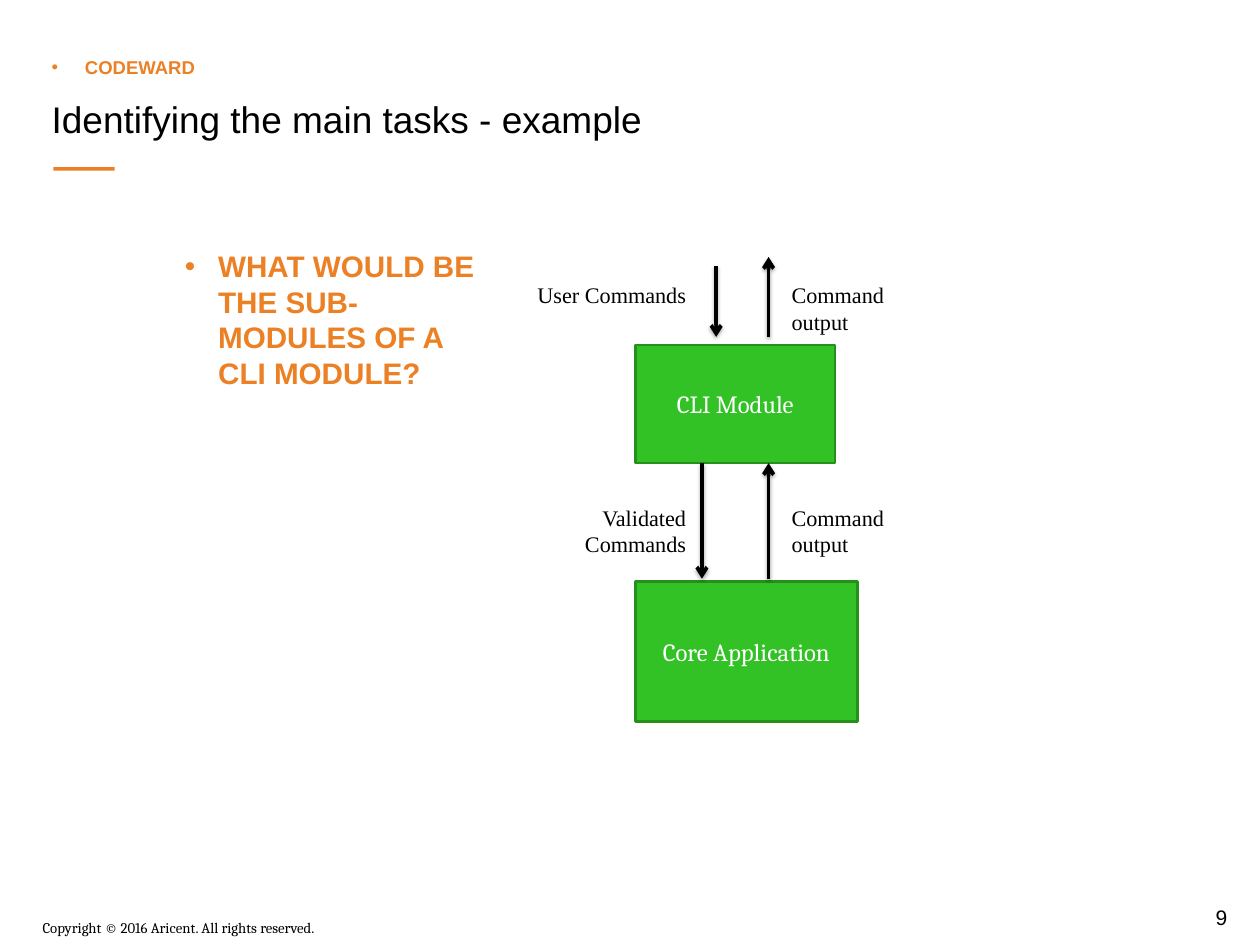
from dataclasses import dataclass

import lxml.etree
import pptx
import pptx.dml.color
import pptx.enum.shapes
import pptx.enum.text
import pptx.oxml
import pptx.oxml.ns
import pptx.util

WIDTH, HEIGHT = 14.18, 10.63
COLOURS = {
    "orange": "EB8024",
    "black": "000000",
    "white": "FFFFFF",
    "green": "32C225",
    "dark green": "25901B",
}
ALIGN = pptx.enum.text.PP_ALIGN
ANCHOR = pptx.enum.text.MSO_ANCHOR
RECTANGLE = pptx.enum.shapes.MSO_SHAPE.RECTANGLE


@dataclass(frozen=True)
class Area:
    """A rectangle in percent of the slide's width and height."""
    left: float
    top: float
    width: float
    height: float


@dataclass(frozen=True)
class Style:
    font: str
    size: float
    colour: str = "black"
    bold: bool = False
    align: ALIGN = ALIGN.LEFT
    anchor: ANCHOR = ANCHOR.TOP


@dataclass(frozen=True)
class Words:
    text: str
    area: Area
    style: Style


@dataclass(frozen=True)
class Arrow:
    column: float
    start: float
    end: float


HEADING = Style("Arial", 30)
KICKER = Style("Arial", 15, "orange", True, anchor=ANCHOR.BOTTOM)
QUESTION = Style("Arial", 24, "orange", True)
MODULE = Style("Cambria", 20, "white", align=ALIGN.CENTER, anchor=ANCHOR.MIDDLE)
INPUT = Style("Times New Roman", 18, align=ALIGN.RIGHT)
OUTPUT = Style("Times New Roman", 18)
COPYRIGHT = Style("Cambria", 12)
NUMBER = Style("Arial", 17, align=ALIGN.CENTER, anchor=ANCHOR.MIDDLE)

# Columns and rows shared by several parts of the slide
TEXT_LEFT, TEXT_WIDTH = 3.39, 78.49
MODULE_LEFT = 50.42
INPUT_LEFT, INPUT_WIDTH = 41.61, 13.54
OUTPUT_LEFT, OUTPUT_WIDTH = 62.13, 11.78
OUTPUT_ARROW = 61
UPPER_LABELS, LOWER_LABELS = 29.35, 52.87
ONE_LINE, TWO_LINES = 3.76, 6.68
ABOVE_CLI, BELOW_CLI, ABOVE_CORE = 35.65, 49.01, 61.24

PLACEHOLDERS = [
    Words("Identifying the main tasks - example",
          Area(TEXT_LEFT, 9.78, TEXT_WIDTH, 8), HEADING),
    Words("CODEWARD", Area(TEXT_LEFT, 2.92, TEXT_WIDTH, 5.83), KICKER),
    Words("WHAT WOULD BE THE SUB-MODULES OF A CLI MODULE?",
          Area(13.96, 25.78, 25.25, 42.33), QUESTION),
]
MODULES = [
    Words("CLI Module", Area(MODULE_LEFT, 36.5, 15.87, 12.51), MODULE),
    Words("Core Application", Area(MODULE_LEFT, 61.52, 17.63, 14.86), MODULE),
]
ARROWS = [
    Arrow(55.71, BELOW_CLI, ABOVE_CORE),
    Arrow(OUTPUT_ARROW, ABOVE_CORE, BELOW_CLI),
    Arrow(56.84, 28.13, ABOVE_CLI),
    Arrow(OUTPUT_ARROW, ABOVE_CLI, 27.19),
]
LABELS = [
    Words("Validated Commands",
          Area(INPUT_LEFT, LOWER_LABELS, INPUT_WIDTH, TWO_LINES), INPUT),
    Words("User Commands",
          Area(INPUT_LEFT, UPPER_LABELS, INPUT_WIDTH, ONE_LINE), INPUT),
    *(Words("Command output", Area(OUTPUT_LEFT, row, OUTPUT_WIDTH, TWO_LINES), OUTPUT)
      for row in (LOWER_LABELS, UPPER_LABELS)),
    Words("Copyright © 2016 Aricent. All rights reserved.",
          Area(2.68, 96.71, 50, 2.82), COPYRIGHT),
    Words("9", Area(93.86, 95.2, 6.14, 3.67), NUMBER),
]
ACCENT = Area(4.23, 17.69, 4.87, 0.38)


def across(percent: float) -> int:
    return pptx.util.Inches(WIDTH * percent / 100)


def down(percent: float) -> int:
    return pptx.util.Inches(HEIGHT * percent / 100)


def bounds(area: Area) -> tuple[int, int, int, int]:
    return across(area.left), down(area.top), across(area.width), down(area.height)


def colour(name: str) -> pptx.dml.color.RGBColor:
    return pptx.dml.color.RGBColor.from_string(COLOURS[name])


def write(box, words: Words) -> None:
    style = words.style
    frame = box.text_frame
    frame.text = words.text
    frame.word_wrap = True
    frame.auto_size = pptx.enum.text.MSO_AUTO_SIZE.NONE
    frame.vertical_anchor = style.anchor
    para = frame.paragraphs[0]
    para.alignment = style.align
    para.space_before = pptx.util.Pt(0)
    for span in para.runs:
        span.font.name = style.font
        span.font.size = pptx.util.Pt(style.size)
        span.font.bold = style.bold
        span.font.color.rgb = colour(style.colour)


def fill_placeholder(box, words: Words) -> None:
    box.left, box.top, box.width, box.height = bounds(words.area)
    properties = box.text_frame.paragraphs[0]._p.get_or_add_pPr()
    properties.set("marL", "0")
    properties.set("indent", "0")
    lxml.etree.SubElement(properties, pptx.oxml.ns.qn("a:buNone"))
    write(box, words)


def add_rectangle(page, area: Area, fill: str, outline: str | None = None):
    box = page.shapes.add_shape(RECTANGLE, *bounds(area))
    box.shadow.inherit = False
    box.fill.solid()
    box.fill.fore_color.rgb = colour(fill)
    if outline:
        box.line.color.rgb = colour(outline)
        box.line.width = pptx.util.Pt(2)
    else:
        box.line.fill.background()
    return box


def add_arrow(page, arrow: Arrow) -> None:
    line = page.shapes.add_connector(
        pptx.enum.shapes.MSO_CONNECTOR.STRAIGHT,
        across(arrow.column), down(arrow.start), across(arrow.column), down(arrow.end))
    line.line.color.rgb = colour("black")
    line.line.width = pptx.util.Pt(3)
    lxml.etree.SubElement(
        line.line._get_or_add_ln(), pptx.oxml.ns.qn("a:tailEnd"), type="arrow")
    line._element.spPr.append(pptx.oxml.parse_xml(
        f'<a:effectLst {pptx.oxml.ns.nsdecls("a")}>'
        '<a:outerShdw blurRad="40000" dist="23000" dir="5400000" rotWithShape="0">'
        f'<a:srgbClr val="{COLOURS["black"]}"><a:alpha val="35000"/></a:srgbClr>'
        '</a:outerShdw></a:effectLst>'))


def main() -> None:
    deck = pptx.Presentation()
    deck.slide_width = pptx.util.Inches(WIDTH)
    deck.slide_height = pptx.util.Inches(HEIGHT)
    two_content = deck.slide_layouts[3]
    page = deck.slides.add_slide(two_content)
    for box, words in zip(page.placeholders, PLACEHOLDERS):
        fill_placeholder(box, words)
    add_rectangle(page, ACCENT, "orange")
    for module in MODULES:
        write(add_rectangle(page, module.area, "green", "dark green"), module)
    for arrow in ARROWS:
        add_arrow(page, arrow)
    for label in LABELS:
        write(page.shapes.add_textbox(*bounds(label.area)), label)
    deck.save("out.pptx")


if __name__ == "__main__":
    main()
